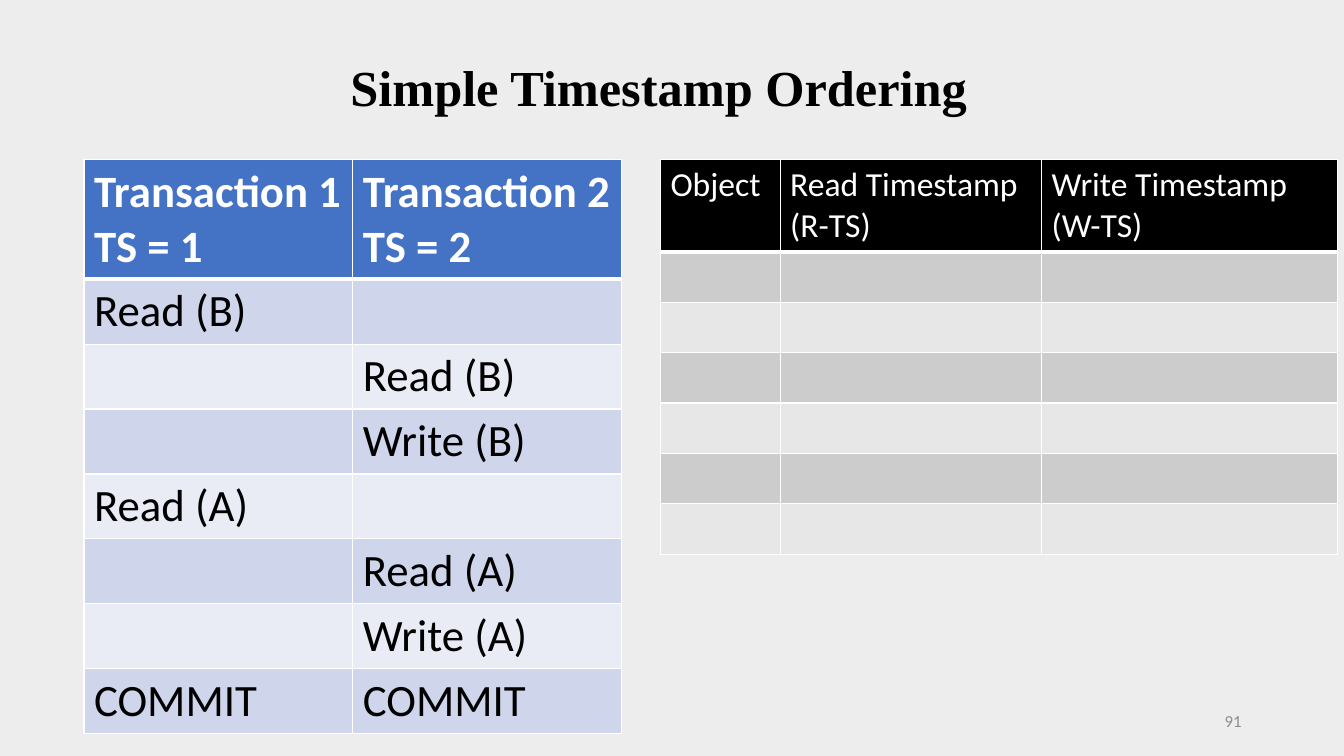
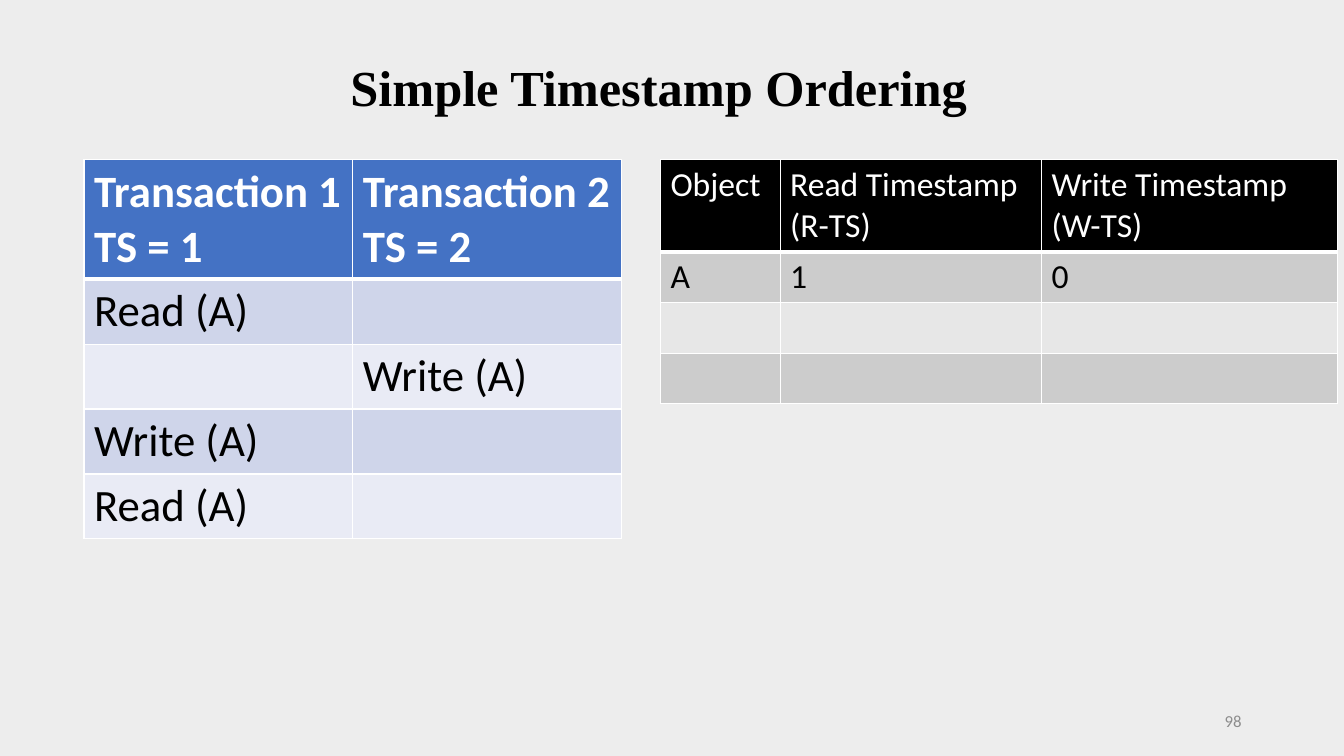
from dataclasses import dataclass

from lxml import etree
from pptx import Presentation
from pptx.dml.color import RGBColor
from pptx.enum.text import MSO_ANCHOR, PP_ALIGN
from pptx.oxml.ns import qn
from pptx.util import Emu, Pt

TOP, MIDDLE = MSO_ANCHOR.TOP, MSO_ANCHOR.MIDDLE
LEFT, RIGHT = PP_ALIGN.LEFT, PP_ALIGN.RIGHT

EMU_PER_PX = 9525
SLIDE_W, SLIDE_H = 1280, 720
TITLE_ONLY = 5
TABLE_TOP = 152
THIN, THICK = 1, 3
TITLE = "Simple Timestamp Ordering"
TITLE_FONT, BODY_FONT = "Times New Roman", "Calibri"
COLORS = {
    "background": "EDEDED",
    "black": "000000",
    "white": "FFFFFF",
    "number": "8C8C8C",
    "blue": "4472C4",
    "blue_band": "CFD5EA",
    "blue_light": "E9EBF5",
    "gray_band": "CCCCCC",
    "gray_light": "E7E7E7",
}

Row = tuple[str, ...]


@dataclass(frozen=True)
class TableStyle:
    left: int
    col_widths: tuple[int, ...]
    header: Row
    header_height: int
    row_height: int
    size: int
    header_bold: bool
    header_fill: str
    bands: tuple[str, str]


@dataclass(frozen=True)
class Step:
    number: int
    schedule: list[Row]
    timestamps: list[Row]


SCHEDULE = TableStyle(
    left=80, col_widths=(256, 256),
    header=("Transaction 1\nTS = 1", "Transaction 2\nTS = 2"),
    header_height=113, row_height=61, size=32, header_bold=True,
    header_fill="blue", bands=("blue_band", "blue_light"),
)
TIMESTAMPS = TableStyle(
    left=629, col_widths=(114, 249, 282),
    header=("Object", "Read Timestamp (R-TS)", "Write Timestamp (W-TS)"),
    header_height=86, row_height=48, size=24, header_bold=False,
    header_fill="black", bands=("gray_band", "gray_light"),
)
EMPTY = ("", "", "")
STEPS = [
    Step(
        91,
        [("Read (B)", ""), ("", "Read (B)"), ("", "Write (B)"), ("Read (A)", ""),
         ("", "Read (A)"), ("", "Write (A)"), ("COMMIT", "COMMIT")],
        [EMPTY] * 6,
    ),
    Step(
        98,
        [("Read (A)", ""), ("", "Write (A)"), ("Write (A)", ""), ("Read (A)", "")],
        [("A", "1", "0"), EMPTY, EMPTY],
    ),
]


def px(n: int) -> Emu:
    return Emu(n * EMU_PER_PX)


def rgb(name: str) -> RGBColor:
    return RGBColor.from_string(COLORS[name])


def write(tf, text: str, size: int, color: str, bold: bool = False,
          font: str = BODY_FONT, align=LEFT) -> None:
    """Write each line of the text as a paragraph with one run."""
    for i, line in enumerate(text.split("\n")):
        p = tf.add_paragraph() if i else tf.paragraphs[0]
        p.alignment = align
        r = p.add_run()
        r.text = line
        r.font.name = font
        r.font.size = Pt(size)
        r.font.bold = bold
        r.font.color.rgb = rgb(color)


def set_borders(cell, top: int, bottom: int) -> None:
    """Draw white cell borders; call before filling, as the schema wants."""
    tc_pr = cell._tc.get_or_add_tcPr()
    for side, width in (("L", THIN), ("R", THIN), ("T", top), ("B", bottom)):
        ln = etree.SubElement(tc_pr, qn(f"a:ln{side}"), w=str(Pt(width)))
        fill = etree.SubElement(ln, qn("a:solidFill"))
        etree.SubElement(fill, qn("a:srgbClr"), val=COLORS["white"])


def add_grid(s, style: TableStyle, body: list[Row]) -> None:
    rows = [style.header, *body]
    height = style.header_height + style.row_height * len(body)
    table = s.shapes.add_table(
        len(rows), len(style.col_widths), px(style.left), px(TABLE_TOP),
        px(sum(style.col_widths)), px(height),
    ).table
    for column, width in zip(table.columns, style.col_widths):
        column.width = px(width)
    for i, row in enumerate(rows):
        is_header = i == 0
        table.rows[i].height = px(style.header_height if is_header else style.row_height)
        fill = style.header_fill if is_header else style.bands[(i - 1) % 2]
        for j, text in enumerate(row):
            cell = table.cell(i, j)
            set_borders(cell, THICK if i == 1 else THIN, THICK if is_header else THIN)
            cell.fill.solid()
            cell.fill.fore_color.rgb = rgb(fill)
            if text:
                write(cell.text_frame, text, style.size,
                      "white" if is_header else "black",
                      is_header and style.header_bold)


def add_title(s) -> None:
    title = s.shapes.title
    title.left, title.top, title.width, title.height = map(px, (324, 49, 610, 68))
    tf = title.text_frame
    tf.word_wrap = False
    tf.vertical_anchor = TOP
    write(tf, TITLE, 36, "black", True, TITLE_FONT)


def add_number(s, number: int) -> None:
    tf = s.shapes.add_textbox(*map(px, (904, 667, 288, 38))).text_frame
    tf.word_wrap = True
    tf.vertical_anchor = MIDDLE
    write(tf, str(number), 12, "number", align=RIGHT)


def add_step(prs, step: Step) -> None:
    s = prs.slides.add_slide(prs.slide_layouts[TITLE_ONLY])
    add_grid(s, SCHEDULE, step.schedule)
    add_title(s)
    add_grid(s, TIMESTAMPS, step.timestamps)
    add_number(s, step.number)


def main() -> None:
    prs = Presentation()
    prs.slide_width, prs.slide_height = px(SLIDE_W), px(SLIDE_H)
    background = prs.slide_master.background.fill
    background.solid()
    background.fore_color.rgb = rgb("background")
    for step in STEPS:
        add_step(prs, step)
    prs.save("out.pptx")


if __name__ == "__main__":
    main()
